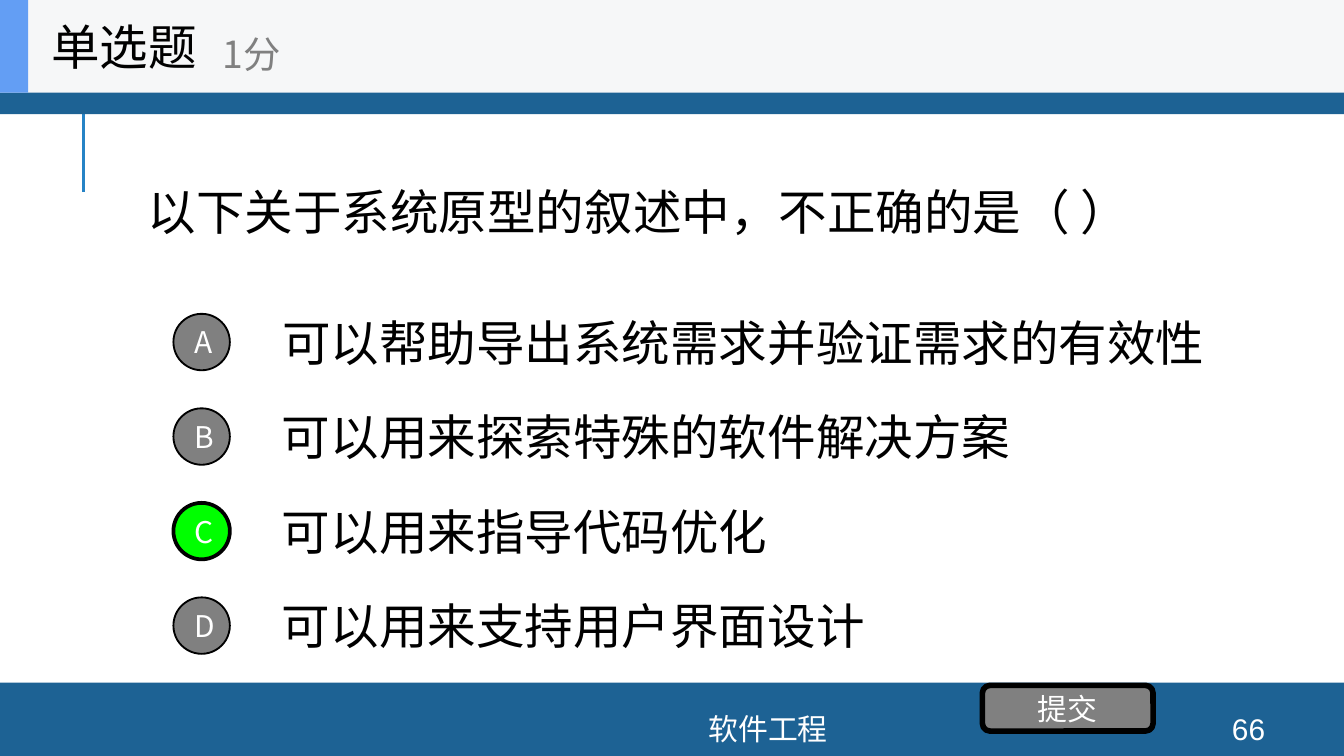
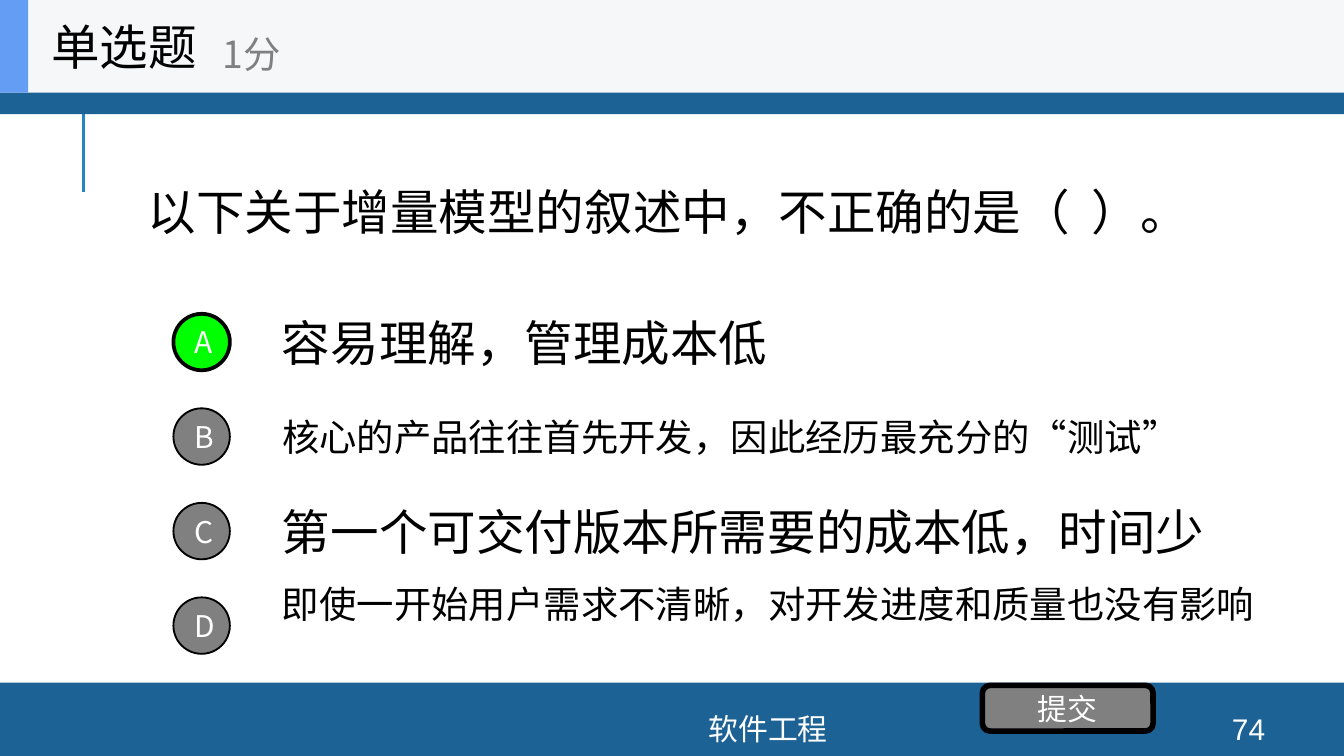
"""Build two single-choice quiz slides on software engineering."""
from dataclasses import dataclass

from lxml.etree import SubElement
from pptx import Presentation
from pptx.dml.color import RGBColor
from pptx.enum.shapes import MSO_CONNECTOR, MSO_SHAPE
from pptx.enum.text import MSO_ANCHOR, MSO_AUTO_SIZE, PP_ALIGN
from pptx.oxml.ns import qn
from pptx.util import Inches, Pt


@dataclass(frozen=True)
class Theme:
    band: str = "1D6294"
    rule: str = "2683C6"
    header: str = "F6F7F8"
    accent: str = "639EF4"
    grey: str = "808080"
    correct: str = "00FF00"
    black: str = "000000"
    white: str = "FFFFFF"
    body_font: str = "Arial"
    quiz_font: str = "Noto Sans CJK SC"
    large: int = 26
    medium: int = 20
    small: int = 16


THEME = Theme()
HEADING, SCORE, COURSE, SUBMIT = "单选题", "1分", "软件工程", "提交"
QUESTIONS = [
    {
        "number": 66,
        "question": "以下关于系统原型的叙述中，不正确的是（ ）",
        "answer": "C",
        "options": [
            ("可以帮助导出系统需求并验证需求的有效性", THEME.large, 7.32),
            ("可以用来探索特殊的软件解决方案", THEME.large, 7),
            ("可以用来指导代码优化", THEME.large, 7),
            ("可以用来支持用户界面设计", THEME.large, 7),
        ],
    },
    {
        "number": 74,
        "question": "以下关于增量模型的叙述中，不正确的是（  ）。",
        "answer": "A",
        "options": [
            ("容易理解，管理成本低", THEME.large, 7),
            ("核心的产品往往首先开发，因此经历最充分的“测试”", THEME.medium, 7.69),
            ("第一个可交付版本所需要的成本低，时间少", THEME.large, 7.54),
            ("即使一开始用户需求不清晰，对开发进度和质量也没有影响", THEME.medium, 7.54),
        ],
        "raised": "D",
    },
]
BANDS = [
    (0, 5.08, 10, 0.55, THEME.band),
    (0, -0.03, 10, 0.88, THEME.band),
    (0, 0, 10, 0.69, THEME.header),
    (0, 0, 0.21, 0.69, THEME.accent),
]
FIRST_TOP, LAST_TOP = 2.28, 4.39
OPTION_HEIGHT, BADGE_SIZE = 0.53, 0.42
RAISED_INSET = 0.38


def write(shape, text, size, color, font, align=PP_ALIGN.LEFT):
    """Put one formatted, vertically centred paragraph in a shape."""
    frame = shape.text_frame
    frame.text = text
    frame.word_wrap = True
    frame.auto_size = MSO_AUTO_SIZE.NONE
    frame.vertical_anchor = MSO_ANCHOR.MIDDLE
    para = frame.paragraphs[0]
    para.alignment = align
    para.font.size = Pt(size)
    para.font.name = font
    para.font.color.rgb = RGBColor.from_string(color)


def add_text(page, place, text, size, color=THEME.black,
             font=THEME.body_font, align=PP_ALIGN.LEFT):
    """Add a text box and return it."""
    box = page.shapes.add_textbox(*map(Inches, place))
    write(box, text, size, color, font, align)
    return box


def add_block(page, kind, place, fill, line_width=0):
    """Add a filled preset shape, outlined in black when a width is given."""
    block = page.shapes.add_shape(kind, *map(Inches, place))
    block.shadow.inherit = False
    block.fill.solid()
    block.fill.fore_color.rgb = RGBColor.from_string(fill)
    if line_width:
        block.line.color.rgb = RGBColor.from_string(THEME.black)
        block.line.width = Pt(line_width)
    else:
        block.line.fill.background()
    return block


def add_button(page, kind, place, fill, line_width, text):
    """Add an outlined shape with a centred white label."""
    button = add_block(page, kind, place, fill, line_width)
    write(button, text, THEME.small, THEME.white, THEME.quiz_font, PP_ALIGN.CENTER)


def dress_layout(layout, page):
    """Draw the rule and bands, then move them to the shared layout."""
    for holder in list(layout.placeholders):
        if holder.placeholder_format.idx:
            holder.element.getparent().remove(holder.element)
    rule = page.shapes.add_connector(
        MSO_CONNECTOR.STRAIGHT, *map(Inches, (0.62, 1.43, 0.62, 0.68)))
    rule.line.color.rgb = RGBColor.from_string(THEME.rule)
    rule.line.width = Pt(1.5)
    SubElement(rule.element.spPr, qn("a:effectLst"))
    parts = [rule] + [add_block(page, MSO_SHAPE.RECTANGLE, place, fill)
                      for *place, fill in BANDS]
    tree = layout.shapes.element
    for order, part in enumerate(parts):
        part.element.xpath(".//p:cNvPr")[0].set("id", str(100 + order))
        tree.insert(2 + order, part.element)


def add_options(page, quiz):
    """Add the lettered badges and the option texts."""
    options = quiz["options"]
    pitch = (LAST_TOP - FIRST_TOP) / (len(options) - 1)
    for row, (letter, (text, size, width)) in enumerate(zip("ABCD", options)):
        top = FIRST_TOP + row * pitch
        box = add_text(page, (2, top, width, OPTION_HEIGHT), text, size)
        if letter == quiz.get("raised"):
            box.text_frame.margin_bottom = Inches(RAISED_INSET)
        correct = letter == quiz["answer"]
        badge_top = top + (OPTION_HEIGHT - BADGE_SIZE) / 2
        add_button(page, MSO_SHAPE.OVAL, (1.29, badge_top, BADGE_SIZE, BADGE_SIZE),
                   THEME.correct if correct else THEME.grey, 2 if correct else 1, letter)


def add_quiz(page, quiz):
    """Fill one quiz slide."""
    title = page.shapes.title
    title.left, title.top, title.width, title.height = map(Inches, (0.28, 0, 2.08, 0.69))
    write(title, HEADING, THEME.large, THEME.black, THEME.quiz_font)
    add_text(page, (1.56, 0.12, 2.5, 0.56), SCORE, THEME.medium, THEME.grey, THEME.quiz_font)
    for place, text in (((2.61, 5.31, 6.21, 0.23), COURSE),
                        ((8.89, 5.31, 0.8, 0.23), str(quiz["number"]))):
        add_text(page, place, text, THEME.small, THEME.white, align=PP_ALIGN.CENTER)
    add_text(page, (1, 0.69, 8, 1.76), quiz["question"], THEME.large)
    add_options(page, quiz)
    add_button(page, MSO_SHAPE.ROUNDED_RECTANGLE, (7.31, 5.1, 1.27, 0.34),
               THEME.grey, 3, SUBMIT)


def main():
    """Build and save the deck."""
    deck = Presentation()
    deck.slide_width = Inches(10)
    deck.slide_height = deck.slide_width * 9 // 16
    layout = deck.slide_layouts[5]
    pages = [deck.slides.add_slide(layout) for _ in QUESTIONS]
    dress_layout(layout, pages[0])
    for page, quiz in zip(pages, QUESTIONS):
        add_quiz(page, quiz)
    deck.save("out.pptx")


if __name__ == "__main__":
    main()
